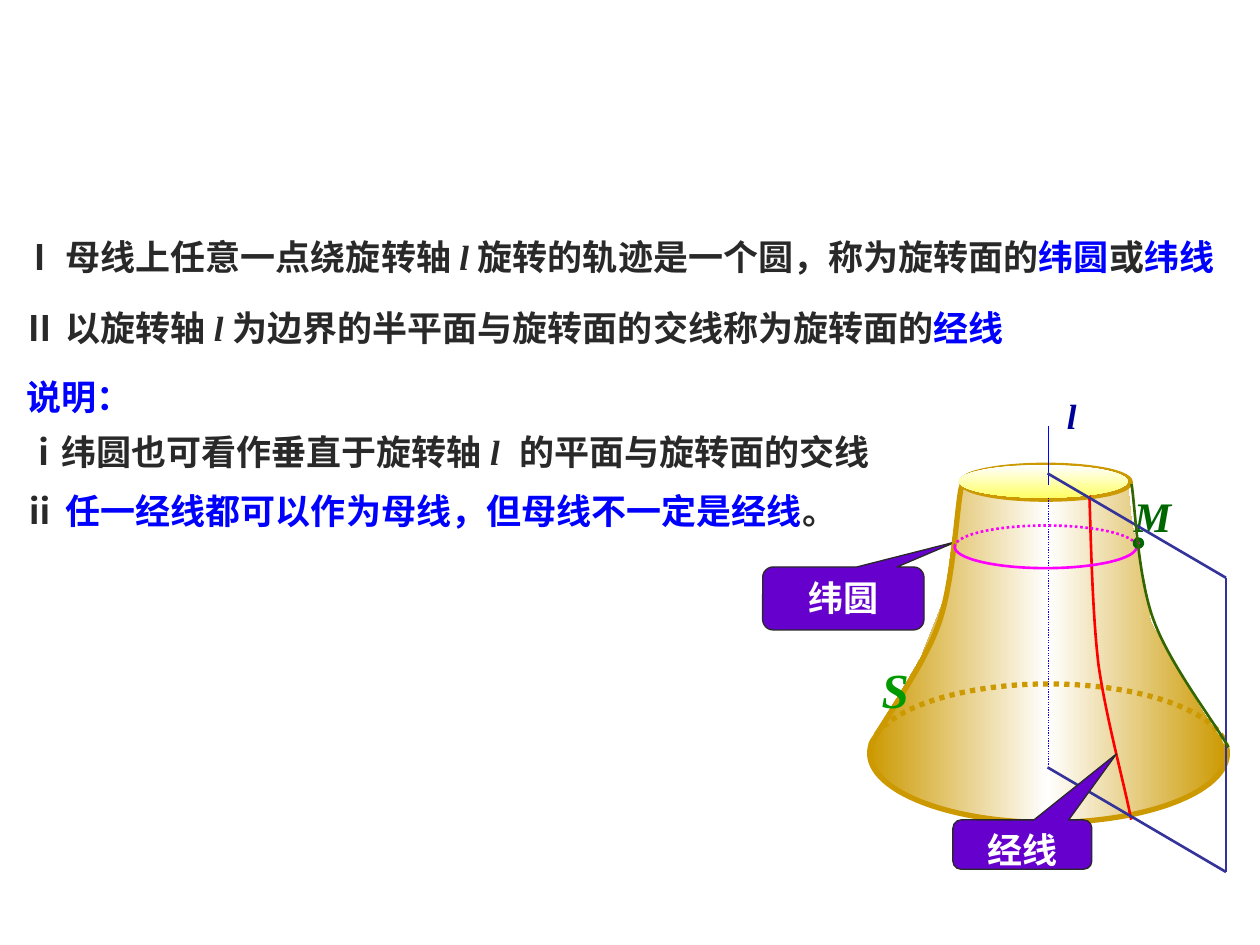
import math
from dataclasses import dataclass, replace

from lxml import etree
from pptx import Presentation
from pptx import util as u
from pptx.dml.color import RGBColor
from pptx.enum import dml, shapes, text
from pptx.oxml import ns

COLORS = {
    "ink": "292929", "blue": "0000FF", "navy": "000099", "white": "FFFFFF",
    "purple": "6600CC", "gold": "CC9900", "yellow": "FFFF66", "red": "FF0000",
    "magenta": "FF00FF", "leaf": "009900", "forest": "006600",
    "olive": "336600", "plane": "333399",
}
SANS, SERIF = "Arial", "Times New Roman"
Point = tuple[float, float]
Box = tuple[float, float, float, float]


@dataclass(frozen=True)
class Span:
    words: str
    color: str = "ink"
    font: str = SANS
    italic: bool = False
    size: float = 20
    tracking: float = 0


@dataclass(frozen=True)
class Label:
    box: Box
    paras: tuple[tuple[Span, ...], ...]
    spacing: float = 1.0
    wrap: bool = True
    grow: bool = True


@dataclass(frozen=True)
class Stroke:
    color: str
    width: float
    dotted: bool = False


@dataclass(frozen=True)
class Callout:
    box: Box
    words: str
    tip: Point


AXIS_L = Span("l ", font=SERIF, italic=True)
LABELS = (
    Label((5.8, 162, 642.2, 41),
          ((Span("Ⅱ 以旋转轴 "), AXIS_L,
            Span("为边界的半平面与旋转面的交线称为旋转面的"), Span("经线", "blue")),), 1.4),
    Label((7.9, 203.8, 705.6, 69.8),
          ((Span("说明：", "blue"),),
           (Span("ⅰ纬圆也可看作垂直于旋转轴 "), replace(AXIS_L, tracking=3.1),
            Span("的平面与旋转面的交线"))), 1.3),
    Label((5.8, 131, 707.8, 31.7),
          ((Span("Ⅰ 母线上任意一点绕旋转轴 "), AXIS_L,
            Span("旋转的轨迹是一个圆，称为旋转面的"), Span("纬圆", "blue"),
            Span("或"), Span("纬线", "blue")),)),
    Label((5.8, 270, 509.8, 37.4),
          ((Span("ⅱ "), Span("任一经线都可以作为母线，但母线不一定是经线", "blue"),
            Span("。")),), 1.25),
    Label((602.6, 221.8, 19.4, 31.7),
          ((Span("l", "navy", SERIF, True),),), wrap=False),
    Label((640.8, 276.5, 35.3, 36),
          ((Span("M", "forest", SERIF, True, 24),),), wrap=False),
)
SURFACE_LABEL = Label((496.8, 379.4, 26.6, 28.8),
                      ((Span("S", "leaf", SERIF, True, 28),),), grow=False)
PARALLEL_CALLOUT = Callout((435.8, 324, 92.2, 36), "纬圆", (0.702, -0.903))
MERIDIAN_CALLOUT = Callout((544.5, 468.5, 79.4, 28.2), "经线", (0.678, -1.839))

SURFACE = [
    (548.6, 277.2), (540, 341.3), (526.3, 375.8), (517, 391.7), (506.9, 408.2),
    (500.4, 418.3), (496.8, 425.5), (496.1, 434.9), (501.8, 442.8), (518.4, 455),
    (533.5, 459.4), (562.3, 468), (594.7, 470.2), (619.2, 469.4), (646.6, 465.1),
    (673.2, 457.2), (688.3, 448.6), (697, 440.6), (699.8, 435.6), (701.3, 430.6),
    (699.8, 426.2), (697, 421.2), (686.9, 406.1), (668.2, 375.8), (657.4, 355),
    (654.5, 334.8), (651.6, 321.8), (649.4, 311), (646.6, 298.1), (644.4, 275.8),
    (630.7, 281.5), (612.7, 283), (594, 284.4), (576, 282.2), (558.7, 280.1),
]
LEFT_PROFILE = [(549.4, 277.9), (546.5, 290.9), (545, 331.9), (536.4, 356.4),
                (527.8, 380.9), (505.4, 411.1), (497.5, 425.5)]
MERIDIAN = [(622.5, 282.6), (623.2, 298.8), (623.9, 348.5), (627.8, 380.2),
            (632.2, 411.1), (643, 450), (646.4, 468.4)]
GENERATRIX = [(646.6, 276.5), (648.7, 289.4), (650.2, 330.5), (659.5, 355),
              (668.9, 380.2), (693.4, 411.8), (702, 427)]
PLANE_CORNERS = [(598.6, 270.5), (700.6, 330.2), (700.6, 498.3), (598.6, 438.5)]


def rgb(name: str) -> RGBColor:
    return RGBColor.from_string(COLORS[name])


def points(values) -> list:
    return [u.Pt(value) for value in values]


def set_line(line, stroke: Stroke) -> None:
    line.color.rgb = rgb(stroke.color)
    line.width = u.Pt(stroke.width)
    if stroke.dotted:
        line.dash_style = dml.MSO_LINE.ROUND_DOT


def finish(shape, stroke: Stroke | None = None, fill: str | None = None) -> None:
    shape.shadow.inherit = False
    if fill:
        shape.fill.solid()
        shape.fill.fore_color.rgb = rgb(fill)
    else:
        shape.fill.background()
    if stroke:
        set_line(shape.line, stroke)
    else:
        shape.line.fill.background()


def set_gradient(shape, colors: list[str], angle: int) -> None:
    shape.fill.gradient()
    gradient = shape._element.spPr.find(ns.qn("a:gradFill"))
    stops = gradient.find(ns.qn("a:gsLst"))
    for stop in list(stops):
        stops.remove(stop)
    for index, name in enumerate(colors):
        place = str(100000 * index // (len(colors) - 1))
        stop = etree.SubElement(stops, ns.qn("a:gs"), pos=place)
        etree.SubElement(stop, ns.qn("a:srgbClr"), val=COLORS[name])
    gradient.find(ns.qn("a:lin")).set("ang", str(angle * 60000))


def add_outline(page, vertices: list[Point], stroke: Stroke | None = None,
                close: bool = False):
    places = [points(vertex) for vertex in vertices]
    builder = page.shapes.build_freeform(*places[0])
    builder.add_line_segments(places[1:], close=close)
    shape = builder.convert_to_shape()
    finish(shape, stroke)
    return shape


def add_curve(page, controls: list[Point], stroke: Stroke) -> None:
    shape = add_outline(page, controls, stroke)
    lines = list(shape._element.spPr.iter(ns.qn("a:lnTo")))
    for first in range(0, len(lines), 3):
        bend = etree.Element(ns.qn("a:cubicBezTo"))
        lines[first].addprevious(bend)
        for line in lines[first:first + 3]:
            bend.append(line[0])
            line.getparent().remove(line)


def arc_controls(center: Point, radii: Point, start: float, end: float) -> list[Point]:
    half = math.radians(end - start) / 2
    reach = 4 / 3 * math.tan(half / 4)
    controls = []
    for index in range(3):
        angle = math.radians(start) + index * half
        cos, sin = math.cos(angle), math.sin(angle)
        for pull in (-reach, 0, reach):
            controls.append((center[0] + radii[0] * (cos - pull * sin),
                             center[1] + radii[1] * (sin + pull * cos)))
    return controls[1:-1]


def add_circle_of_rotation(page, center: Point, radii: Point, overlap: float,
                           color: str, width: float) -> None:
    for start, end, dotted in ((-overlap, 180 + overlap, False),
                               (180 + overlap, 360 - overlap, True)):
        add_curve(page, arc_controls(center, radii, start, end),
                  Stroke(color, width, dotted))


def add_segment(page, start: Point, end: Point, stroke: Stroke) -> None:
    segment = page.shapes.add_connector(shapes.MSO_CONNECTOR.STRAIGHT,
                                        *points(start + end))
    set_line(segment.line, stroke)
    etree.SubElement(segment._element.spPr, ns.qn("a:effectLst"))


def add_ellipse(page, box: Box, stroke: Stroke | None = None, fill: str | None = None):
    shape = page.shapes.add_shape(shapes.MSO_SHAPE.OVAL, *points(box))
    finish(shape, stroke, fill)
    return shape


def add_span(para, item: Span) -> None:
    span = para.add_run()
    span.text = item.words
    span.font.name = item.font
    span.font.size = u.Pt(item.size)
    span.font.bold = True
    span.font.italic = item.italic
    span.font.color.rgb = rgb(item.color)
    if item.tracking:
        span._r.get_or_add_rPr().set("spc", str(round(item.tracking * 100)))


def add_label(page, label: Label):
    box = page.shapes.add_textbox(*points(label.box))
    frame = box.text_frame
    frame.word_wrap = label.wrap
    frame.auto_size = (text.MSO_AUTO_SIZE.SHAPE_TO_FIT_TEXT if label.grow
                       else text.MSO_AUTO_SIZE.NONE)
    for index, spans in enumerate(label.paras):
        para = frame.add_paragraph() if index else frame.paragraphs[0]
        para.line_spacing = label.spacing
        for item in spans:
            add_span(para, item)
    return box


def add_callout(page, callout: Callout) -> None:
    shape = page.shapes.add_shape(shapes.MSO_SHAPE.ROUNDED_RECTANGULAR_CALLOUT,
                                  *points(callout.box))
    finish(shape, Stroke("ink", 0.75), "purple")
    shape.adjustments[0], shape.adjustments[1] = callout.tip
    shape.text_frame.vertical_anchor = text.MSO_ANCHOR.TOP
    para = shape.text_frame.paragraphs[0]
    para.alignment = text.PP_ALIGN.CENTER
    add_span(para, Span(callout.words, "white"))


def add_surface(page) -> None:
    set_gradient(add_outline(page, SURFACE, close=True), ["gold", "white", "gold"], 180)
    rim = Stroke("gold", 3)
    add_ellipse(page, (549.4, 265.9, 96.5, 19.4), rim)
    add_circle_of_rotation(page, (599.2, 430.4), (102.2, 39.6), 8, "gold", 3)
    add_curve(page, LEFT_PROFILE, rim)
    add_segment(page, (599, 437), (599, 254.2), Stroke("blue", 0.75, True))
    letter = add_label(page, SURFACE_LABEL)
    letter.text_frame.vertical_anchor = text.MSO_ANCHOR.MIDDLE
    letter.text_frame.paragraphs[0].alignment = text.PP_ALIGN.RIGHT
    add_curve(page, MERIDIAN, Stroke("red", 1.5))
    lid = add_ellipse(page, (547.9, 265.7, 96.5, 18.7))
    set_gradient(lid, ["white", "yellow"], 90)
    add_segment(page, (599, 277.2), (599, 243.4), Stroke("blue", 0.75))
    add_circle_of_rotation(page, (597.5, 312.5), (52, 12.2), 0, "magenta", 1.5)


def main() -> None:
    deck = Presentation()
    deck.slide_width, deck.slide_height = u.Pt(720), u.Pt(540)
    page = deck.slides.add_slide(deck.slide_layouts[6])
    add_callout(page, PARALLEL_CALLOUT)
    add_surface(page)
    for label in LABELS:
        add_label(page, label)
    add_ellipse(page, (648.4, 308.2, 4.3, 4.3), Stroke("forest", 2.25), "magenta")
    for start, end in zip(PLANE_CORNERS, PLANE_CORNERS[1:]):
        add_segment(page, start, end, Stroke("plane", 1.5))
    add_curve(page, GENERATRIX, Stroke("olive", 1.5))
    add_callout(page, MERIDIAN_CALLOUT)
    deck.save("out.pptx")


if __name__ == "__main__":
    main()
